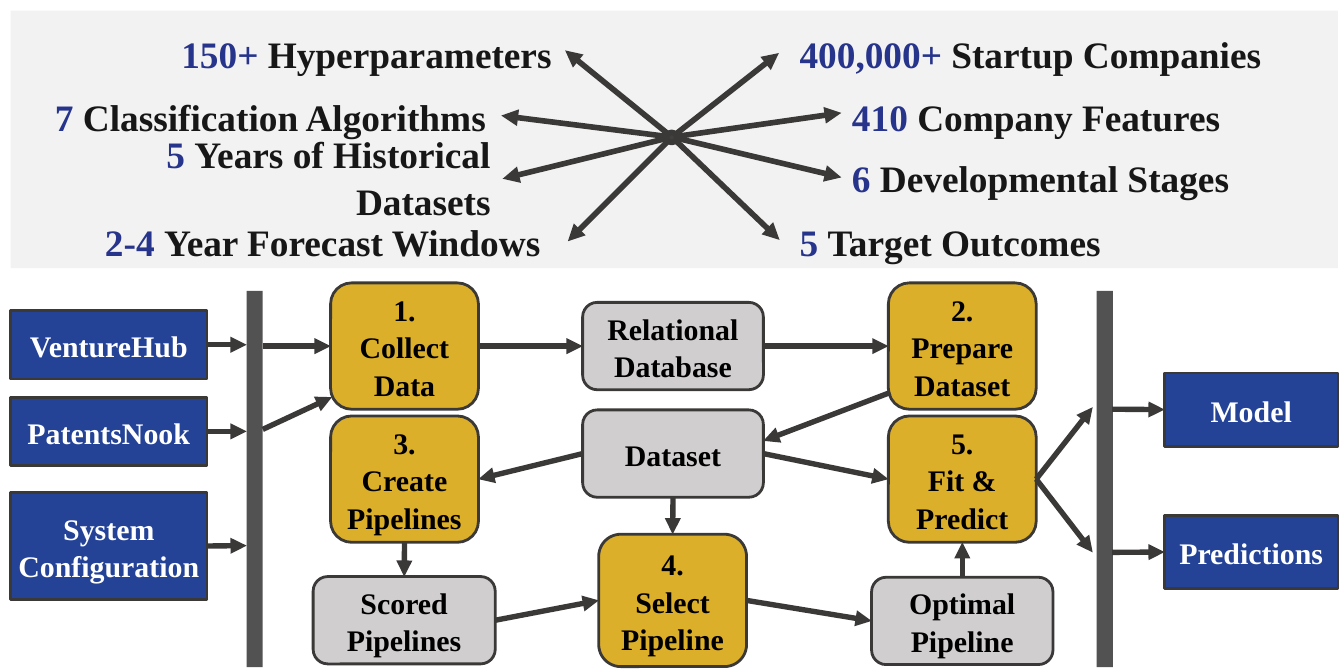
from lxml import etree
from pptx import Presentation
from pptx.dml.color import RGBColor
from pptx.enum.shapes import MSO_CONNECTOR, MSO_SHAPE
from pptx.enum.text import MSO_ANCHOR, MSO_AUTO_SIZE, PP_ALIGN
from pptx.oxml.ns import qn
from pptx.util import Inches, Pt

RECT, ROUND, OVAL = MSO_SHAPE.RECTANGLE, MSO_SHAPE.ROUNDED_RECTANGLE, MSO_SHAPE.OVAL
STRAIGHT = MSO_CONNECTOR.STRAIGHT
MIDDLE = MSO_ANCHOR.MIDDLE
GROW = MSO_AUTO_SIZE.SHAPE_TO_FIT_TEXT
LEFT, CENTER, RIGHT = PP_ALIGN.LEFT, PP_ALIGN.CENTER, PP_ALIGN.RIGHT
TOP, WEST, BASE, EAST = range(4)

COLS, ROWS = 20, 10
CELL = Inches(1)
FONT = "Times New Roman"
LEAD = 1.05
HEX = {
    "panel": "F2F2F2", "line": "3B3838", "hub": "404040", "bar": "525252",
    "blue": "244397", "gold": "DCAF2A", "gray": "D0CECE",
    "count": "27348B", "ink": "181717", "black": "000000", "white": "FFFFFF",
}

HUB = (10, 2.04)
FACTS = [
    ("150+ ", "Hyperparameters", 2.6, 0.39, 6.23, LEFT, (8.41, 0.75)),
    ("7 ", "Classification Algorithms", 0.46, 1.33, 6.87, RIGHT, (7.46, 1.72)),
    ("5 ", "Years of Historical Datasets", 0.34, 2.24, 7.06, RIGHT, (7.48, 2.66)),
    ("2-4 ", "Year Forecast Windows", 1.42, 3.19, 6.72, RIGHT, (8.45, 3.59)),
    ("400,000+ ", "Startup Companies", 11.8, 0.39, 7.9, LEFT, (11.59, 0.79)),
    ("410 ", "Company Features", 12.58, 1.34, 6.98, LEFT, (12.52, 1.68)),
    ("6 ", "Developmental Stages", 12.58, 2.24, 6.74, LEFT, (12.52, 2.64)),
    ("5 ", "Target Outcomes", 11.8, 3.2, 5.81, LEFT, (11.6, 3.57)),
]

STEP, STORE = (2.2, 1.88), (2.69, 1.3)
INPUT, OUTPUT = (2.92, 1.02), (2.58, 1.09)
BOXES = {
    "collect": ("1.\nCollect Data", "gold", 4.92, 4.21, *STEP),
    "prepare": ("2.\nPrepare Dataset", "gold", 13.22, 4.21, *STEP),
    "create": ("3.\nCreate Pipelines", "gold", 4.92, 6.19, *STEP),
    "select": ("4.\nSelect Pipeline", "gold", 8.91, 7.95, 2.2, 1.97),
    "fit": ("5.\nFit & Predict", "gold", 13.22, 6.19, *STEP),
    "store": ("Relational\vDatabase", "gray", 8.67, 4.5, *STORE),
    "data": ("Dataset", "gray", 8.67, 6.1, *STORE),
    "scored": ("Scored Pipelines", "gray", 4.66, 8.58, 2.71, 1.3),
    "best": ("Optimal\vPipeline", "gray", 12.97, 8.59, 2.7, 1.3),
    "firms": ("VentureHub", "blue", 0.16, 4.62, *INPUT),
    "patents": ("PatentsNook", "blue", 0.16, 5.91, *INPUT),
    "config": ("System\nConfiguration", "blue", 0.16, 7.33, 2.92, 1.59),
    "model": ("Model", "blue", 17.33, 5.55, *OUTPUT),
    "guess": ("Predictions", "blue", 17.33, 7.67, *OUTPUT),
}

BARS = (3.67, 16.32)
LINKS = [
    (("firms", EAST), (3.67, 5.13)),
    (("patents", EAST), (3.67, 6.42)),
    (("config", EAST), (3.67, 8.12)),
    ((3.91, 5.15), ("collect", WEST)),
    ((3.91, 6.39), (4.94, 5.91)),
    (("collect", EAST), ("store", WEST)),
    (("store", EAST), ("prepare", WEST)),
    ((13.25, 5.84), (11.36, 6.56)),
    (("data", WEST), ("create", EAST)),
    (("data", EAST), ("fit", WEST)),
    (("data", BASE), ("select", TOP)),
    (("create", BASE), ("scored", TOP)),
    (("scored", EAST), ("select", WEST)),
    (("select", EAST), ("best", WEST)),
    (("best", TOP), ("fit", BASE)),
    (("fit", EAST), (16.26, 6.06)),
    (("fit", EAST), (16.26, 8.22)),
    ((16.55, 6.09), ("model", WEST)),
    ((16.55, 8.22), ("guess", WEST)),
]


def grid(*cells):
    """Turn grid cells into slide lengths."""
    return [round(n * CELL) for n in cells]


def color(name):
    """Look up a named colour."""
    return RGBColor.from_string(HEX[name])


def style(font, size, ink=None):
    """Set a bold font, with a colour if one is given."""
    font.name, font.size, font.bold = FONT, Pt(size), True
    if ink:
        font.color.rgb = color(ink)


def block(slide, kind, fill, area, weight=0):
    """Add a filled shape, outlined if it has a line weight."""
    shape = slide.shapes.add_shape(kind, *grid(*area))
    shape.shadow.inherit = False
    shape.fill.solid()
    shape.fill.fore_color.rgb = color(fill)
    if weight:
        shape.line.color.rgb = color("line")
        shape.line.width = Pt(weight)
    else:
        shape.line.fill.background()
    return shape


def box(slide, text, fill, *area):
    """Add a labelled box of the flow."""
    blue = fill == "blue"
    shape = block(slide, RECT if blue else ROUND, fill, area, 3)
    frame = shape.text_frame
    frame.margin_left = frame.margin_right = 0
    frame.margin_top = frame.margin_bottom = 0
    frame.word_wrap, frame.vertical_anchor = True, MIDDLE
    frame.text = text
    for para in frame.paragraphs:
        para.alignment, para.line_spacing = CENTER, LEAD
        style(para.font, 32, "white" if blue else "black")
    return shape


def fact(slide, count, label, x, y, width, align):
    """Add a coloured count with its label."""
    frame = slide.shapes.add_textbox(*grid(x, y, width, 0.77)).text_frame
    frame.word_wrap, frame.vertical_anchor = True, MIDDLE
    frame.auto_size = GROW
    para = frame.paragraphs[0]
    para.alignment, para.line_spacing = align, LEAD
    style(para.font, 40)
    for text, ink in ((count, "count"), (label, "ink")):
        run = para.add_run()
        run.text = text
        run.font.color.rgb = color(ink)


def arrow(slide, start, end, weight):
    """Add a straight arrow between two grid points."""
    link = slide.shapes.add_connector(STRAIGHT, *grid(*start, *end))
    link.line.color.rgb = color("line")
    link.line.width = Pt(weight)
    etree.SubElement(link.line._get_or_add_ln(), qn("a:tailEnd"), type="triangle")
    etree.SubElement(link._element.spPr, qn("a:effectLst"))
    return link


def spot(end):
    """Find the grid point of a link's end."""
    if end[0] not in BOXES:
        return end
    name, side = end
    x, y, width, height = BOXES[name][2:]
    across, down = ((0.5, 0), (0, 0.5), (0.5, 1), (1, 0.5))[side]
    return x + across * width, y + down * height


def join(slide, shapes, start, end):
    """Link two ends and attach those that sit on a box."""
    link = arrow(slide, spot(start), spot(end), 5.75)
    if start[0] in shapes:
        link.begin_connect(shapes[start[0]], start[1])
    if end[0] in shapes:
        link.end_connect(shapes[end[0]], end[1])


def main():
    """Build the slide and save it."""
    deck = Presentation()
    deck.slide_width, deck.slide_height = grid(COLS, ROWS)
    slide = deck.slides.add_slide(deck.slide_layouts[6])
    block(slide, RECT, "panel", (0.16, 0.16, 19.75, 3.83))
    for *words, tip in FACTS:
        fact(slide, *words)
        arrow(slide, HUB, tip, 6)
    block(slide, OVAL, "hub", (9.92, 1.97, 0.15, 0.15), 6)
    for x in BARS:
        block(slide, RECT, "bar", (x, 4.33, 0.24, 5.6))
    shapes = {name: box(slide, *spec) for name, spec in BOXES.items()}
    for start, end in LINKS:
        join(slide, shapes, start, end)
    deck.save("out.pptx")


if __name__ == "__main__":
    main()
